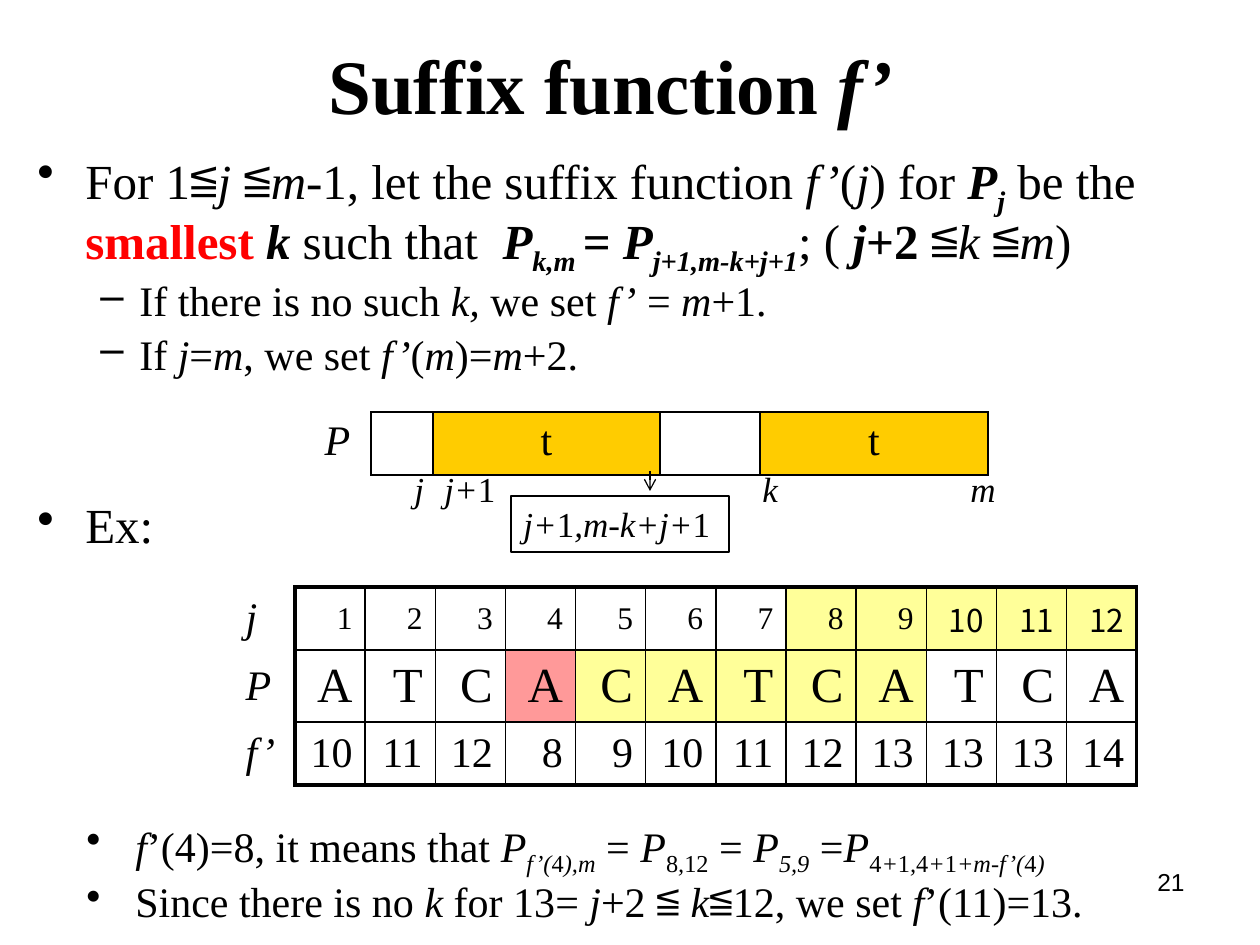
from pptx import Presentation
from pptx.dml.color import RGBColor
from pptx.enum.shapes import MSO_CONNECTOR as CONNECTOR, MSO_SHAPE as SHAPE
from pptx.enum.text import MSO_ANCHOR as ANCHOR, PP_ALIGN as ALIGN
from pptx.oxml.ns import qn
from pptx.util import Pt
from lxml.etree import SubElement, Element

SERIF, SANS, CJK = "Times New Roman", "Arial", "Noto Sans CJK TC"
BLACK, RED, ORANGE, YELLOW, PINK = "000000", "FF0000", "FFCC00", "FFFF99", "FF9999"

TITLE = [("Suffix function", "b"), (" f’", "bi")]
DEFINITION = [
    ("For 1≦", ""), ("j", "i"), (" ≦", ""), ("m", "i"), ("-1, let the suffix function ", ""),
    ("f’", "i"), ("(", ""), ("j", "i"), (") for ", ""), ("P", "bi"), ("j", "bis"),
    (" be the ", ""), ("smallest ", "br"), ("k", "bi"), (" such that  ", ""), ("P", "bi"),
    ("k,m ", "bis"), ("= ", "b"), ("P", "bi"), ("j+1,m-k+j+1", "bis"), ("; ( ", ""),
    ("j", "bi"), ("+2 ", "b"), ("≦", ""), ("k", "i"), (" ≦", ""), ("m", "i"), (")", ""),
]
NO_SUCH_K = [("If there is no such ", ""), ("k, ", "i"), ("we set ", ""), ("f’", "i"),
             (" = ", ""), ("m", "i"), ("+1.", "")]
LAST_J = [("If ", ""), ("j", "i"), ("=", ""), ("m", "i"), (", we set ", ""), ("f’", "i"),
          ("(", ""), ("m", "i"), (")=", ""), ("m", "i"), ("+2.", "")]
BODY = [
    (DEFINITION, 28, "•", 48, 48, 0),
    (NO_SUCH_K, 24, "–", 102, 39, 4.8),
    (LAST_J, 24, "–", 102, 39, 4.8),
    ([("Ex:", "")], 28, "•", 48, 48, 70),
]
MEANING = [
    ("f", "i"), ("’(4)=8, it means that ", ""), ("P", "i"), ("f’(", "is"), ("4", "s"),
    ("),m", "is"), (" = ", ""), ("P", "i"), ("8", "s"), (",", "is"), ("12", "s"), (" = ", ""),
    ("P", "i"), ("5,9", "is"), (" =", ""), ("P", "i"), ("4", "s"), ("+", "is"), ("1", "s"),
    (",", "is"), ("4", "s"), ("+", "is"), ("1", "s"), ("+m-f’(", "is"), ("4", "s"), (")", "is"),
]
NO_K = [("Since there is no ", ""), ("k", "i"), (" for 13= ", ""), ("j", "i"), ("+2 ≦ ", ""),
        ("k", "i"), ("≦12, we set ", ""), ("f", "i"), ("’(11)=13.", "")]
NOTES = [(MEANING, 24, "•", 49, 49, 0), (NO_K, 24, "•", 49, 49, 4.8)]
INDEX_LABELS = [
    (402, 59, [("j", "i")]),
    (432, 79, [("j+", "i"), ("1", "")]),
    (750, 49, [("k", "i")]),
    (958, 49, [("m", "i")]),
]
RANGE_LABEL = [("j+", "i"), ("1", ""), (",m-k+j+", "i"), ("1", "")]
PATTERN = [["P", "", "t", "", "t"]]
PATTERN_FILLS = {(0, 2): ORANGE, (0, 4): ORANGE}
SUFFIX_ROWS = [
    ["j", *map(str, range(1, 13))],
    ["P", *"ATCACATCATCA"],
    ["f’", "10", "11", "12", "8", "9", "10", "11", "12", "13", "13", "13", "14"],
]
SUFFIX_FILLS = {(0, column): YELLOW for column in range(8, 13)}
SUFFIX_FILLS.update({(1, column): YELLOW for column in range(5, 10)})
SUFFIX_FILLS[1, 4] = PINK
SUFFIX_SIZES = [18, 28, 24]


def px(value):
    return round(value * 914400 / 126)


def color(value):
    return RGBColor.from_string(value)


def add_runs(paragraph, runs, size, font=SERIF):
    """Add (text, style) runs; style letters: b bold, i italic, s subscript, r red."""
    for text, style in runs:
        run = paragraph.add_run()
        run.text = text
        run.font.name, run.font.size = font, Pt(size)
        run.font.bold, run.font.italic = "b" in style, "i" in style
        run.font.color.rgb = color(RED if "r" in style else BLACK)
        if "s" in style:
            run._r.get_or_add_rPr().set("baseline", "-25000")


def add_text(slide, box, runs, size, align=ALIGN.LEFT, font=SERIF, anchor=ANCHOR.TOP):
    frame = slide.shapes.add_textbox(*map(px, box)).text_frame
    frame.word_wrap, frame.vertical_anchor = True, anchor
    frame.paragraphs[0].alignment = align
    add_runs(frame.paragraphs[0], runs, size, font)


def add_bullets(slide, box, items):
    frame = slide.shapes.add_textbox(*map(px, box)).text_frame
    frame.word_wrap = True
    for index, (runs, size, bullet, margin, hanging, before) in enumerate(items):
        paragraph = frame.add_paragraph() if index else frame.paragraphs[0]
        properties = paragraph._p.get_or_add_pPr()
        properties.set("marL", str(px(margin)))
        properties.set("indent", str(-px(hanging)))
        SubElement(properties, qn("a:buChar")).set("char", bullet)
        paragraph.line_spacing, paragraph.space_before = 0.9, Pt(before)
        add_runs(paragraph, runs, size)


def set_borders(cell, widths):
    properties = cell._tc.get_or_add_tcPr()
    for index, (side, width) in enumerate(zip("LRTB", widths)):
        line = Element(qn(f"a:ln{side}"), w=str(Pt(width)))
        fill = SubElement(line, qn("a:solidFill" if width else "a:noFill"))
        if width:
            SubElement(fill, qn("a:srgbClr")).set("val", BLACK)
        properties.insert(index, line)


def add_grid(slide, left, top, widths, heights, rows, fills, sizes, outer, align, anchor):
    """Add a table whose first column holds unframed row labels."""
    box = (left, top, sum(widths), sum(heights))
    table = slide.shapes.add_table(len(rows), len(widths), *map(px, box)).table
    table.first_row = table.horz_banding = False
    for column, width in zip(table.columns, widths):
        column.width = px(width)
    for r, texts in enumerate(rows):
        table.rows[r].height = px(heights[r])
        for c, text in enumerate(texts):
            cell = table.cell(r, c)
            cell.vertical_anchor = anchor
            if (r, c) in fills:
                cell.fill.solid()
                cell.fill.fore_color.rgb = color(fills[r, c])
            else:
                cell.fill.background()
            edges = (c == 1, c == len(texts) - 1, r == 0, r == len(rows) - 1)
            set_borders(cell, [outer if edge else 1 for edge in edges] if c else (0, outer, 0, 0))
            paragraph = cell.text_frame.paragraphs[0]
            paragraph.alignment = align if c else ALIGN.LEFT
            if text:
                font = CJK if r == 0 and c >= 10 else SERIF
                add_runs(paragraph, [(text, "" if c else "i")], sizes[r] if c else 24, font)


def add_range_callout(slide):
    shape = slide.shapes.add_shape(SHAPE.RECTANGLE, *map(px, (511, 496, 218, 56)))
    shape.shadow.inherit = False
    shape.fill.background()
    shape.line.color.rgb, shape.line.width = color(BLACK), Pt(0.75)
    frame = shape.text_frame
    frame.word_wrap, frame.vertical_anchor = True, ANCHOR.TOP
    frame.paragraphs[0].alignment = ALIGN.LEFT
    add_runs(frame.paragraphs[0], RANGE_LABEL, 20)
    arrow = slide.shapes.add_connector(CONNECTOR.STRAIGHT, *map(px, (650, 471, 650, 491)))
    arrow.line.color.rgb, arrow.line.width = color(BLACK), Pt(0.75)
    SubElement(arrow.line._get_or_add_ln(), qn("a:tailEnd")).set("type", "arrow")
    SubElement(arrow._element.spPr, qn("a:effectLst"))


def main():
    presentation = Presentation()
    presentation.slide_width, presentation.slide_height = px(1260), px(945)
    slide = presentation.slides.add_slide(presentation.slide_layouts[6])
    add_text(slide, (903, 861, 294, 66), [("21", "")], 14, ALIGN.RIGHT, SANS)
    add_text(slide, (44, 26, 1134, 115), TITLE, 44, ALIGN.CENTER, anchor=ANCHOR.MIDDLE)
    add_bullets(slide, (25, 145, 1235, 446), BODY)
    add_grid(slide, 312, 412, [59, 62, 227, 100, 228], [62], PATTERN, PATTERN_FILLS,
             [24], 1, ALIGN.CENTER, ANCHOR.TOP)
    for left, width, runs in INDEX_LABELS:
        add_text(slide, (left, 461, width, 54), runs, 20)
    add_range_callout(slide)
    add_grid(slide, 233, 587, [62] + [842 / 12] * 12, [63, 72, 63], SUFFIX_ROWS, SUFFIX_FILLS,
             SUFFIX_SIZES, 2.25, ALIGN.RIGHT, ANCHOR.MIDDLE)
    add_bullets(slide, (74, 815, 1131, 113), NOTES)
    presentation.save("out.pptx")


if __name__ == "__main__":
    main()
